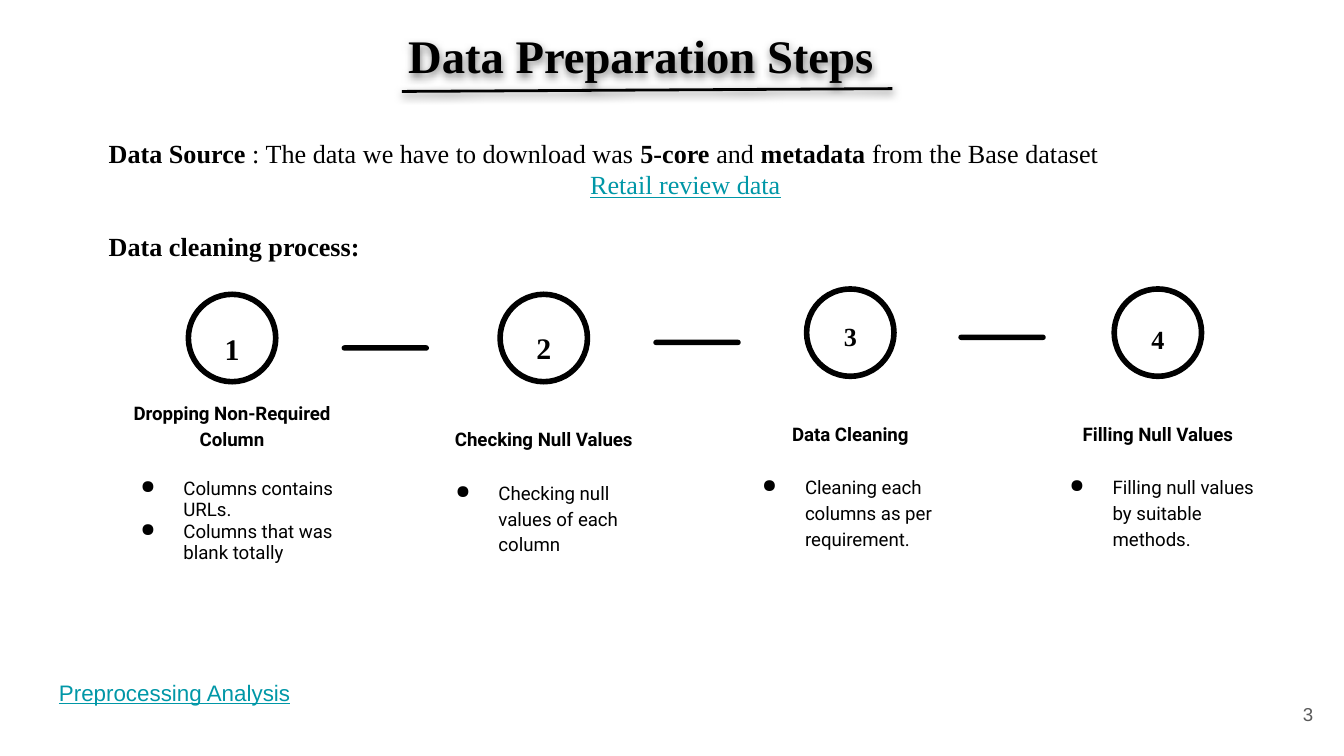
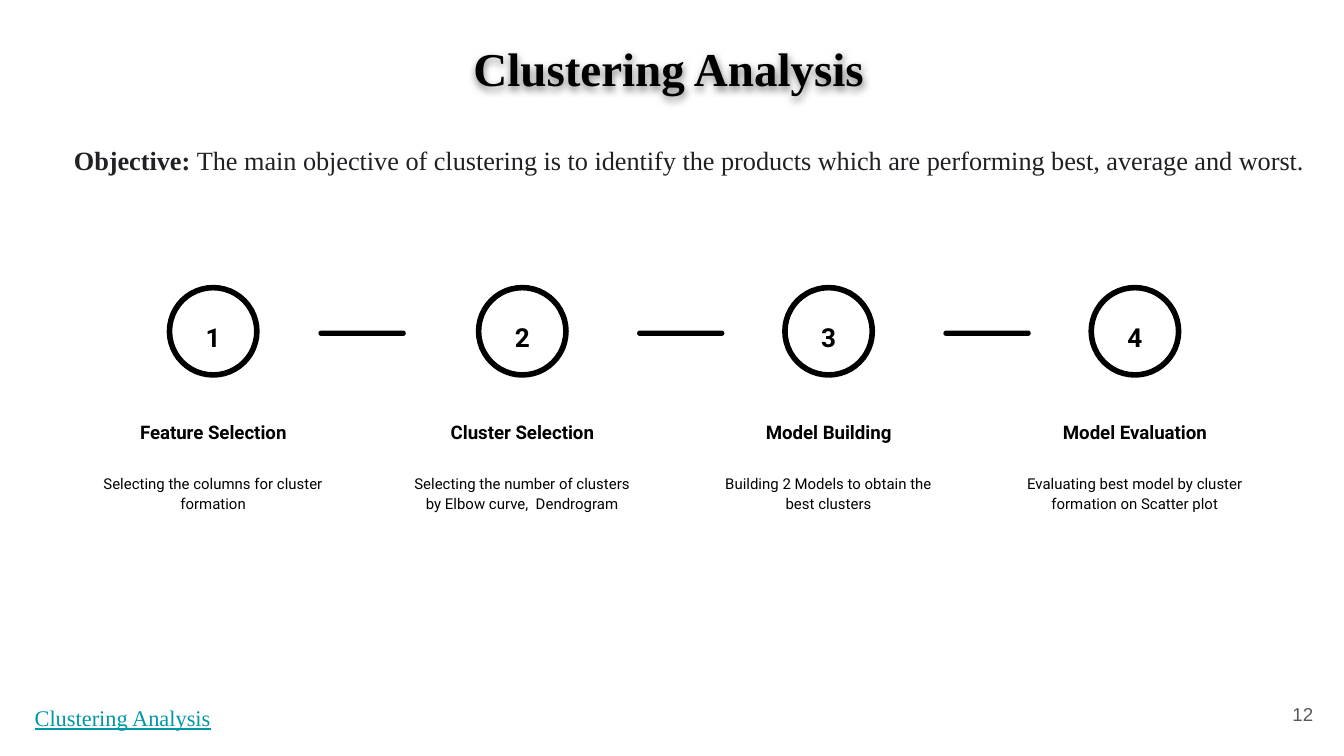
import pptx
import pptx.util
import pptx.dml.color
import pptx.enum.shapes
import pptx.enum.text
import pptx.oxml

Pt = pptx.util.Pt
RGBColor = pptx.dml.color.RGBColor
MSO_SHAPE = pptx.enum.shapes.MSO_SHAPE
ANCHOR = pptx.enum.text.MSO_ANCHOR
ALIGN = pptx.enum.text.PP_ALIGN

BLACK = RGBColor(0, 0, 0)
INK = RGBColor(0x20, 0x21, 0x24)
TEAL = RGBColor(0x00, 0x97, 0xA7)
GRAY = RGBColor(0x59, 0x59, 0x59)
SERIF, SANS, ARIAL = "Times New Roman", "Roboto", "Arial"
NS = 'xmlns:a="http://schemas.openxmlformats.org/drawingml/2006/main"'
SHADOW = (f'<a:effectLst {NS}><a:outerShdw blurRad="{Pt(4.5)}" dist="{Pt(1.5)}" dir="5400000" '
          'algn="bl" rotWithShape="0"><a:srgbClr val="000000"><a:alpha val="50000"/>'
          '</a:srgbClr></a:outerShdw></a:effectLst>')
BULLET = (f'<a:buClr {NS}><a:srgbClr val="000000"/></a:buClr>', f'<a:buChar {NS} char="●"/>')


def write(sp, box, paras, anchor=ANCHOR.TOP, top=7.2):
    sp.left, sp.top, sp.width, sp.height = [Pt(v) for v in box]
    tf = sp.text_frame
    frame = {"word_wrap": True, "auto_size": pptx.enum.text.MSO_AUTO_SIZE.NONE,
             "vertical_anchor": anchor, "margin_left": Pt(7.2), "margin_right": Pt(7.2),
             "margin_top": Pt(top), "margin_bottom": Pt(7.2)}
    for name, value in frame.items():
        setattr(tf, name, value)
    for i, (runs, layout, indent, bullet) in enumerate(paras):
        p = tf.paragraphs[0] if i == 0 else tf.add_paragraph()
        for name, value in layout.items():
            setattr(p, name, value)
        pPr = p._p.get_or_add_pPr()
        pPr.set("marL", str(Pt(indent)))
        pPr.set("indent", str(Pt(-23 if bullet else 0)))
        for xml in BULLET if bullet else ():
            pPr.append(pptx.oxml.parse_xml(xml))
        for words, font, color in runs:
            r = p.add_run()
            r.text = words
            for name, value in font.items():
                setattr(r.font, name, value)
            r.font.color.rgb = color


def para(words, name, size, color=BLACK, bold=False, underline=False, indent=0, bullet=False,
         align=ALIGN.LEFT, spacing=1.0, before=0, after=0):
    pieces = [(words, bold)] if isinstance(words, str) else words
    runs = [(t, {"name": name, "size": Pt(size), "bold": b, "underline": underline}, color)
            for t, b in pieces]
    layout = {"alignment": align, "line_spacing": spacing,
              "space_before": Pt(before), "space_after": Pt(after)}
    return runs, layout, indent, bullet


prs = pptx.Presentation()
prs.slide_width, prs.slide_height = Pt(720), Pt(405)

slides = [
    {
        "title": ("Data Preparation Steps", (24.5, 7.2, 671, 49.7), 25, 187),
        "page": "3",
        "texts": [
            ((51.1, 66.2, 632.2, 82), 7.2, [
                para([("Data Source", True), (" : The data we have to download was ", False),
                      ("5-core", True), (" and ", False), ("metadata", True),
                      (" from the Base dataset", False)], SERIF, 14),
                para("Retail review data", SERIF, 14, TEAL, underline=True, align=ALIGN.CENTER),
                para("Data cleaning process:", SERIF, 14, bold=True, before=16.5),
            ]),
            ((24.5, 339.8, 141.8, 49.7), 24, [
                para("Preprocessing Analysis", ARIAL, 12, TEAL, underline=True)]),
        ],
        "number_font": SERIF,
        "detail": {"size": 10, "indent": 36, "bullet": True},
        "bars": [(183, 185), (350, 182), (513.4, 179.3)],
        "steps": [
            (124.3, 157.7, 16, 9.4, 31, 0.95, "Dropping Non-Required Column",
             ["Columns contains URLs.", "Columns that was blank totally"]),
            (291.3, 157.7, 16, 8.6, 32.4, 1.15, "Checking Null Values",
             ["Checking null values of each column"]),
            (455.5, 154.8, 14, 7.2, 35.3, 1.15, "Data Cleaning",
             ["Cleaning each columns as per requirement."]),
            (620.3, 154.8, 14, 8.6, 25.2, 1.15, "Filling Null Values",
             ["Filling null values by suitable methods."]),
        ],
    },
    {
        "title": ("Clustering Analysis", (19.4, 13.7, 671, 45.4), 25.2, 227),
        "page": "12",
        "texts": [
            ((11.5, 67.7, 699.1, 59.8), 7.2, [
                para([("Objective: ", True),
                      ("The main objective of clustering is to identify the products which are "
                       "performing best, average and worst.", False)],
                     SERIF, 14.1, INK, indent=21, spacing=1.15)]),
            ((11.5, 370, 141.8, 29), 7.2, [
                para("Clustering Analysis", SERIF, 12, TEAL, underline=True)]),
        ],
        "number_font": SANS,
        "detail": {"size": 8, "align": ALIGN.CENTER, "after": 16},
        "bars": [(170.6, 177.1), (341.3, 177.1), (505.4, 177.1)],
        "steps": [
            (x, 154.1, 14, 8.6, 25.2, 1.15, caption, [detail])
            for x, caption, detail in [
                (114.2, "Feature Selection", "Selecting the columns for cluster formation"),
                (279.8, "Cluster Selection",
                 "Selecting the number of clusters by Elbow curve,  Dendrogram"),
                (443.9, "Model Building", "Building 2 Models to obtain the best clusters"),
                (608, "Model Evaluation",
                 "Evaluating best model by cluster formation on Scatter plot"),
            ]
        ],
    },
]

for page in slides:
    s = prs.slides.add_slide(prs.slide_layouts[5])
    words, box, size, indent = page["title"]
    write(s.shapes.title, box, [para(words, SERIF, size, bold=True, indent=indent)])
    s.shapes.title._element.spPr.append(pptx.oxml.parse_xml(SHADOW))

    for box, top, paras in page["texts"]:
        write(s.shapes.add_textbox(0, 0, 0, 0), box, paras, top=top)

    for x, y in page["bars"]:
        sp = s.shapes.add_shape(MSO_SHAPE.ROUNDED_RECTANGLE, Pt(x), Pt(y), Pt(46.8), Pt(2.9))
        sp.adjustments[0] = 0.5
        sp.shadow.inherit = False
        sp.fill.solid()
        sp.fill.fore_color.rgb = BLACK
        sp.line.fill.background()

    for i, (cx, y, size, dy, height, spacing, caption, details) in enumerate(page["steps"]):
        sp = s.shapes.add_shape(MSO_SHAPE.OVAL, Pt(cx - 23.4), Pt(y), Pt(46.8), Pt(46.8))
        sp.shadow.inherit = False
        sp.fill.background()
        sp.line.color.rgb = BLACK
        sp.line.width = Pt(3)
        width = 138.2 if i == 0 else 134.6
        number = para(str(i + 1), page["number_font"], size, bold=True,
                      align=ALIGN.CENTER, spacing=1.15, after=16)
        heading = para(caption, SANS, 10, bold=True, align=ALIGN.CENTER, spacing=1.15)
        lines = [para(d, SANS, spacing=spacing, **page["detail"]) for d in details]
        for box, paras, anchor in [
            ((cx - 17.3, y + dy, 34.6, height), [number], ANCHOR.TOP),
            ((cx - 67.3, y + 55.4, 134.6, 35.3), [heading], ANCHOR.BOTTOM),
            ((cx - width / 2, y + 91.4, width, 58.3), lines, ANCHOR.TOP),
        ]:
            write(s.shapes.add_textbox(0, 0, 0, 0), box, paras, anchor)

    write(s.shapes.add_textbox(0, 0, 0, 0), (667.4, 367.2, 43.2, 31),
          [para(page["page"], ARIAL, 10, GRAY, align=ALIGN.RIGHT)], ANCHOR.MIDDLE)

s = prs.slides[0]
rule = s.shapes.add_connector(pptx.enum.shapes.MSO_CONNECTOR.STRAIGHT,
                              Pt(215.3), Pt(49), Pt(478.1), Pt(47.5))
rule.line.color.rgb = BLACK
rule.line.width = Pt(1.5)
rule._element.spPr.append(pptx.oxml.parse_xml(SHADOW))

prs.save("out.pptx")
